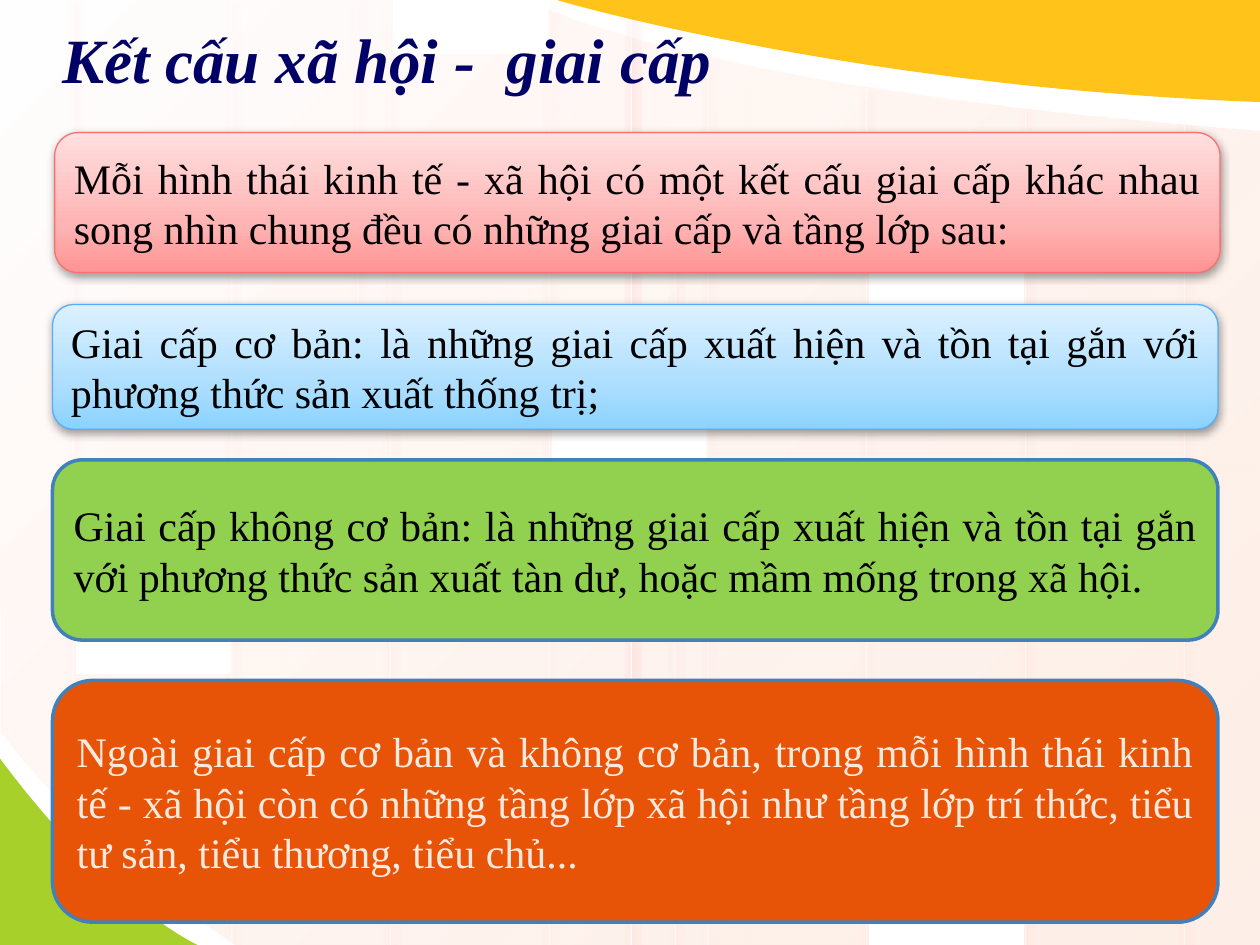
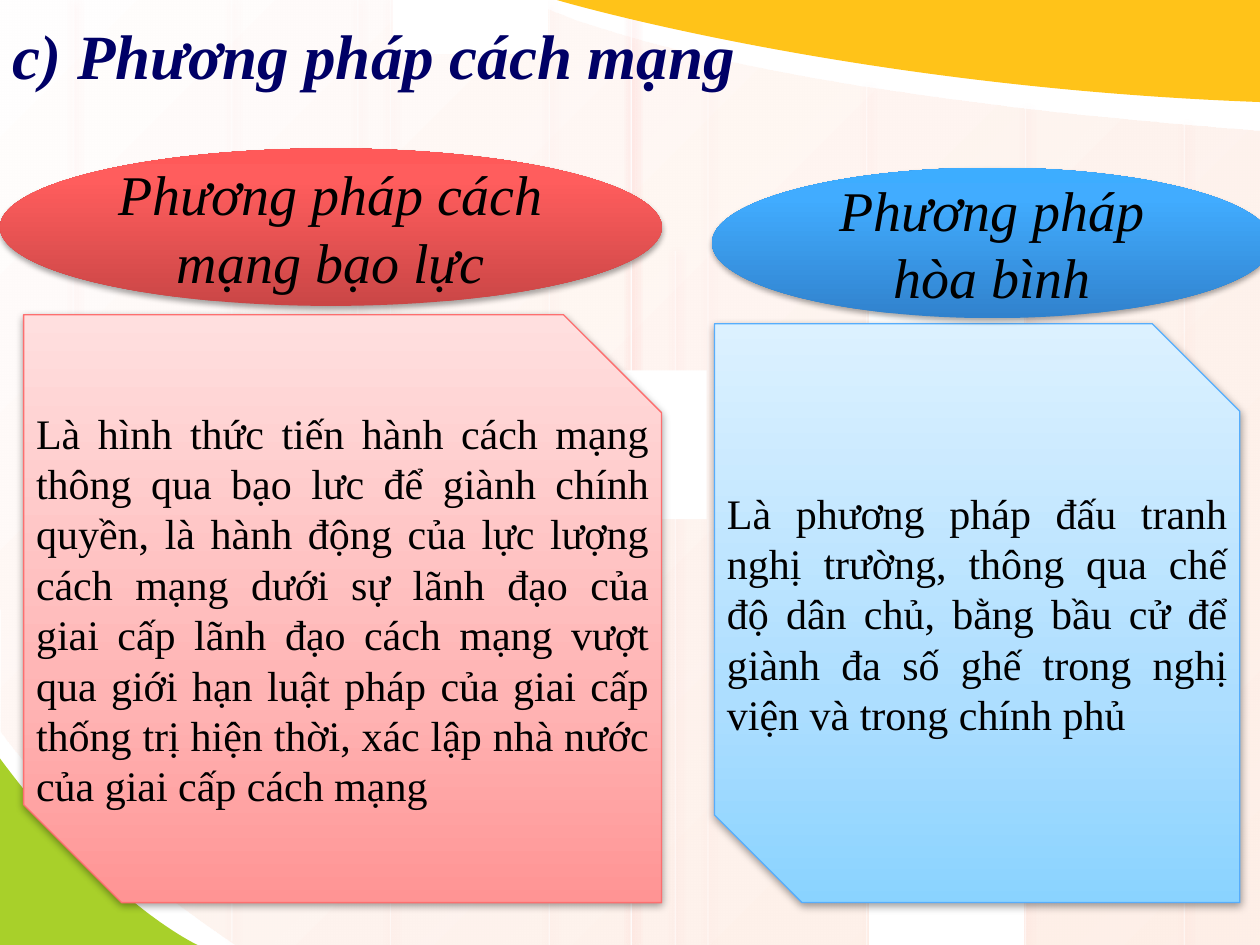
"""Build two slides on class structure and revolutionary methods."""
from lxml.etree import SubElement
from pptx import Presentation
from pptx.dml.color import RGBColor
from pptx.enum.shapes import MSO_CONNECTOR, MSO_SHAPE
from pptx.enum.text import MSO_ANCHOR, PP_ALIGN
from pptx.oxml import parse_xml
from pptx.oxml.ns import nsdecls, qn
from pptx.util import Pt

WIDTH, HEIGHT = 720, 540
FONT = "Times New Roman"
NAVY, BLACK, WHITE, PEACH = "000066", "000000", "FFFFFF", "FEE9DE"
PANEL = (45, [(0, "FFFEFE", 100), (100, PEACH, 70)])
PALE_RED = (270, [(0, "FF9494", 100), (35, "FFB4B4", 100), (100, "FFDFDF", 100)])
PALE_BLUE = (270, [(0, "8AD3FF", 100), (35, "ADDEFF", 100), (100, "DCF1FF", 100)])
DEEP_RED = (270, [(0, "CA4646", 100), (80, "FF5D5D", 100), (100, "FF5959", 100)])
DEEP_BLUE = (270, [(0, "3182CD", 100), (80, "41ACFF", 100), (100, "3DADFF", 100)])
RED_EDGE, BLUE_EDGE, STEEL_EDGE = ("FD6F6F", 0.75), ("56ADFC", 0.75), ("4181BB", 2)
CARD_SHADOW = (BLACK, 38, 5, 1.6, 90)
OVAL_SHADOW = (BLACK, 35, 3.1, 1.8, 90)
LINE_SHADOW = ("FF7575", 35, 5, 1.4, 45)


def paint(shape, fill=None, edge=None, shadow=None):
    """Set the fill (hex or angle with stops), edge and shadow of a shape."""
    properties = shape.element.spPr
    if isinstance(fill, str):
        shape.fill.solid()
        shape.fill.fore_color.rgb = RGBColor.from_string(fill)
    elif fill:
        angle, stops = fill
        stop_xml = "".join(
            f'<a:gs pos="{place * 1000}"><a:srgbClr val="{color}">'
            f'<a:alpha val="{opacity * 1000}"/></a:srgbClr></a:gs>'
            for place, color, opacity in stops)
        shape.fill.background()
        properties.replace(properties.find(qn("a:noFill")), parse_xml(
            f'<a:gradFill {nsdecls("a")} rotWithShape="1"><a:gsLst>{stop_xml}</a:gsLst>'
            f'<a:lin ang="{angle * 60000}" scaled="0"/></a:gradFill>'))
    if edge:
        shape.line.color.rgb = RGBColor.from_string(edge[0])
        shape.line.width = Pt(edge[1])
    else:
        shape.line.fill.background()
    effects = SubElement(properties, qn("a:effectLst"))
    if shadow:
        color, opacity, blur, distance, direction = shadow
        effects.append(parse_xml(
            f'<a:outerShdw {nsdecls("a")} blurRad="{Pt(blur)}" dist="{Pt(distance)}" '
            f'dir="{direction * 60000}" algn="ctr" rotWithShape="0"><a:srgbClr val="{color}">'
            f'<a:alpha val="{opacity * 1000}"/></a:srgbClr></a:outerShdw>'))


def outline(page, segments):
    """Draw a closed outline; one point is a straight step, three are a Bézier curve."""
    points = [(Pt(x), Pt(y)) for segment in segments for x, y in segment]
    builder = page.shapes.build_freeform(*points[0], scale=1.0)
    builder.add_line_segments(points[1:], close=True)
    shape = builder.convert_to_shape()
    track = shape.element.spPr.find(".//" + qn("a:path"))
    steps = iter(track.findall(qn("a:lnTo")))
    for segment in segments[1:]:
        parts = [next(steps) for _ in segment]
        if len(parts) == 3:
            curve = parse_xml(f'<a:cubicBezTo {nsdecls("a")}/>')
            track.replace(parts[0], curve)
            for part in parts:
                curve.append(part[0])
            for part in parts[1:]:
                track.remove(part)
    return shape


deck = Presentation()
deck.slide_width, deck.slide_height = Pt(WIDTH), Pt(HEIGHT)
layout = deck.slide_layouts[5]
pages = [deck.slides.add_slide(layout) for _ in range(2)]
first = pages[0]
backdrop = []

panel = outline(first, [[(720, 74.9)], [(720, 540)], [(134.6, 540)],
                        [(38.9, 475.2), (0.7, 417.6), (0.7, 418)], [(0, 0)], [(302.4, 0)],
                        [(302.4, 0.7), (385.9, 49.7), (720, 74.9)]])
paint(panel, PANEL)
green_corner = outline(first, [[(0, 433.4)], [(0, 540)], [(113, 540)],
                               [(113, 540), (61.9, 517), (0, 433.4)]])
paint(green_corner, "A8D02A")
backdrop += [panel, green_corner]

tops = [0, 0, 0, 0, 31, 49, 61.2, 70.6]
bottoms = [465, 538] + [HEIGHT] * 6
stripes = [(41.8 + 90.7 * column, top, bottom)
           for column, (top, bottom) in enumerate(zip(tops, bottoms))]
stripes += [(204.5, 0, 237.6), (360.7, 0, 481.7), (360.7, 0, HEIGHT), (360.7, 0, HEIGHT),
            (360.7, 26.6, HEIGHT), (385.9, 143.3, HEIGHT)]
for x, top, bottom in stripes:
    stripe = first.shapes.add_connector(MSO_CONNECTOR.STRAIGHT, Pt(x), Pt(top), Pt(x), Pt(bottom))
    paint(stripe, edge=(WHITE, 0.75), shadow=LINE_SHADOW)
    line_color = stripe.element.spPr.find(qn("a:ln")).find(".//" + qn("a:srgbClr"))
    SubElement(line_color, qn("a:alpha"), val="50000")
    backdrop.append(stripe)

for column, row in [(3, 1), (6, 3), (0, 2), (5, 4), (2, -2), (2, 3), (5, 0)]:
    top = 123.1 + 88.6 * row
    bottom = min(top + 85, HEIGHT)
    top = max(top, 0)
    tile = first.shapes.add_shape(MSO_SHAPE.RECTANGLE, Pt(43.2 + 90.7 * column), Pt(top),
                                  Pt(88.6), Pt(bottom - top))
    paint(tile, WHITE)
    backdrop.append(tile)

yellow_corner = outline(first, [[(720, 58.3)], [(720, 0)], [(318.2, 0)],
                                [(318.2, 0), (485.3, 49.7), (720, 58.3)]])
paint(yellow_corner, "FFC319")
backdrop.append(yellow_corner)
for shape in backdrop:
    layout.shapes.element.append(shape.element)

titles = [("Kết cấu xã hội -  giai cấp", 28.4, 9.4), ("c) Phương pháp cách mạng", 0, 7)]
for page, (words, left, top) in zip(pages, titles):
    title = page.shapes.title
    title.left, title.top, title.width, title.height = Pt(left), Pt(top), Pt(690), Pt(48)
    title.text_frame.text = words
    title.text_frame.vertical_anchor = MSO_ANCHOR.MIDDLE
    para = title.text_frame.paragraphs[0]
    para.alignment = PP_ALIGN.LEFT
    font = para.runs[0].font
    font.name, font.size, font.bold, font.italic = FONT, Pt(36), True, True
    font.color.rgb = RGBColor.from_string(NAVY)

cards = [
    (0, "round", (31.2, 75.8, 666, 80), PALE_RED, RED_EDGE, CARD_SHADOW, BLACK,
     "Mỗi hình thái kinh tế - xã hội có một kết cấu giai cấp khác nhau song nhìn chung đều có "
     "những giai cấp và tầng lớp sau:"),
    (0, "round", (30, 174, 666, 71.3), PALE_BLUE, BLUE_EDGE, CARD_SHADOW, BLACK,
     "Giai cấp cơ bản: là những giai cấp xuất hiện và tồn tại gắn với phương thức sản xuất "
     "thống trị;"),
    (0, "round", (30, 262.8, 666, 103), "92D050", STEEL_EDGE, None, BLACK,
     "Giai cấp không cơ bản: là những giai cấp xuất hiện và tồn tại gắn với phương thức sản xuất "
     "tàn dư, hoặc mầm mống trong xã hội."),
    (0, "round", (30, 388.8, 666, 138.2), "E75407", STEEL_EDGE, None, PEACH,
     "Ngoài giai cấp cơ bản và không cơ bản, trong mỗi hình thái kinh tế - xã hội còn có những "
     "tầng lớp xã hội như tầng lớp trí thức, tiểu tư sản, tiểu thương, tiểu chủ..."),
    (1, "snip", (13.5, 179.8, 364.5, 336), PALE_RED, RED_EDGE, CARD_SHADOW, BLACK,
     "Là hình thức tiến hành cách mạng thông qua bạo lưc để giành chính quyền, là hành động của "
     "lực lượng cách mạng dưới sự lãnh đạo của giai cấp lãnh đạo cách mạng vượt qua giới hạn "
     "luật pháp của giai cấp thống trị hiện thời, xác lập nhà nước của giai cấp cách mạng"),
    (1, "oval", (0, 84.8, 378.2, 90), DEEP_RED, None, OVAL_SHADOW, BLACK,
     "Phương pháp cách mạng bạo lực"),
    (1, "snip", (408.3, 185, 300.2, 330.8), PALE_BLUE, BLUE_EDGE, CARD_SHADOW, BLACK,
     "Là phương pháp đấu tranh nghị trường, thông qua chế độ dân chủ, bằng bầu cử để giành đa số "
     "ghế trong nghị viện và trong chính phủ"),
    (1, "oval", (406.8, 95.8, 320.4, 86), DEEP_BLUE, None, OVAL_SHADOW, BLACK,
     "Phương pháp hòa bình"),
]
presets = {"round": MSO_SHAPE.ROUNDED_RECTANGLE, "oval": MSO_SHAPE.OVAL}
for number, kind, (left, top, width, height), fill, edge, shadow, ink, words in cards:
    page = pages[number]
    if kind == "snip":
        right, bottom, cut = left + width, top + height, min(width, height) / 6
        corners = [(left, top), (right - cut, top), (right, top + cut), (right, bottom),
                   (left + cut, bottom), (left, bottom - cut)]
        card = outline(page, [[corner] for corner in corners])
    else:
        card = page.shapes.add_shape(presets[kind], Pt(left), Pt(top), Pt(width), Pt(height))
    paint(card, fill, edge, shadow)
    frame = card.text_frame
    frame.text = words
    frame.word_wrap = True
    frame.vertical_anchor = MSO_ANCHOR.MIDDLE
    para = frame.paragraphs[0]
    para.alignment = PP_ALIGN.CENTER if kind == "oval" else PP_ALIGN.JUSTIFY
    font = para.runs[0].font
    font.name, font.size, font.italic = FONT, Pt(32 if kind == "oval" else 24), kind == "oval"
    font.color.rgb = RGBColor.from_string(ink)

deck.save("out.pptx")
